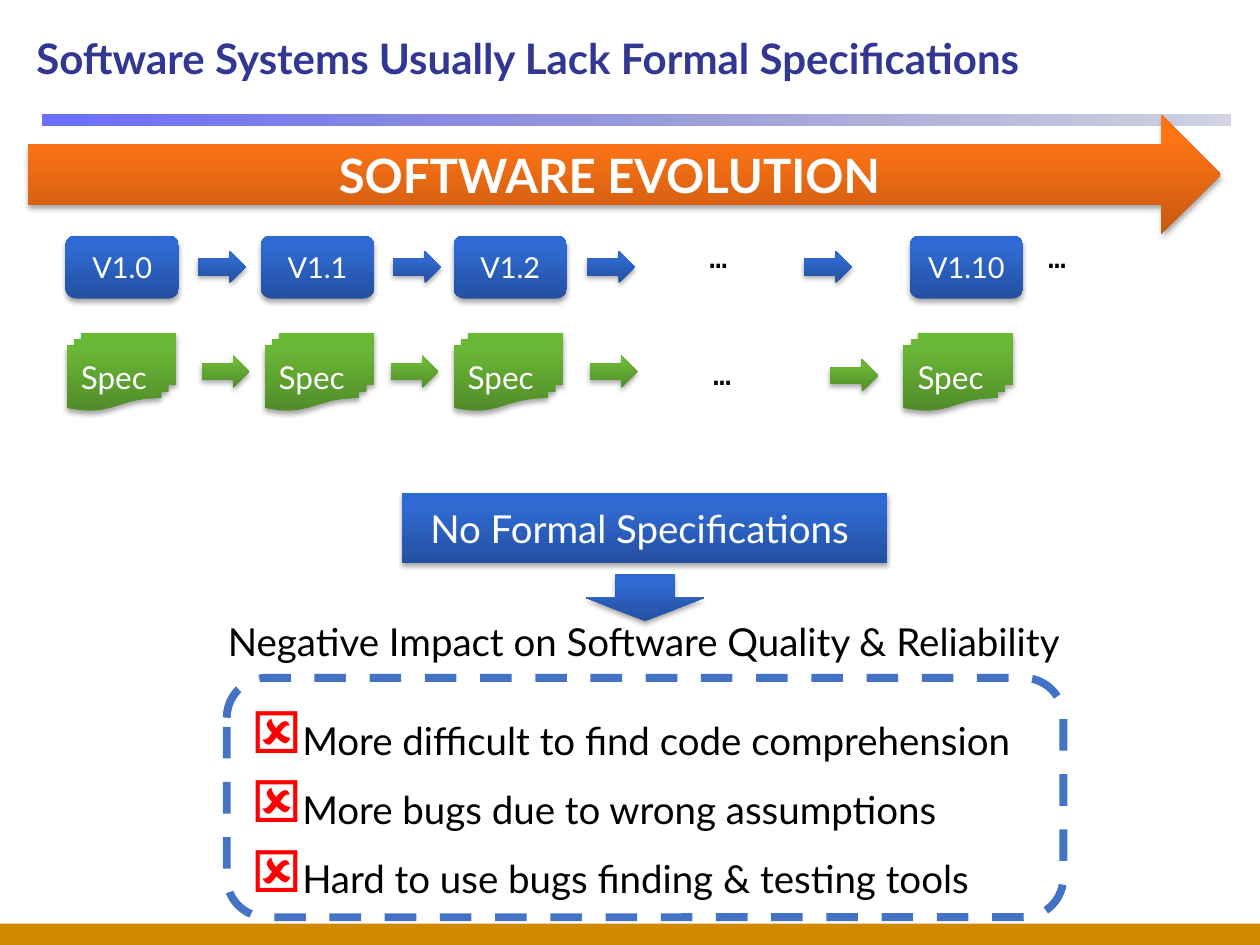
from lxml.etree import SubElement
from pptx import Presentation
from pptx.dml.color import RGBColor
from pptx.enum.dml import MSO_LINE
from pptx.enum.shapes import MSO_SHAPE
from pptx.enum.text import MSO_ANCHOR, MSO_AUTO_SIZE, PP_ALIGN
from pptx.oxml.ns import qn
from pptx.util import Inches, Pt

BLUE = [(0, "2451A1", 100), (80, "2F69D1", 100), (100, "2C69D5", 100)]
GREEN = [(0, "518D2A", 100), (80, "6AB636", 100), (100, "6ABA34", 100)]
ORANGE = [(0, "C65910", 100), (80, "FF7416", 100), (100, "FF7517", 100)]
FADE = [(0, "464AFC", 80), (100, "202275", 20)]


def color(value):
    return RGBColor.from_string(value)


def add_color(parent, value, alpha=100):
    element = SubElement(parent, qn("a:srgbClr"), val=value)
    if alpha < 100:
        SubElement(element, qn("a:alpha"), val=str(alpha * 1000))


def write_text(paragraph, text, size=22, fill="FFFFFF", font="Lato", bold=False, align=PP_ALIGN.CENTER):
    paragraph.alignment = align
    run = paragraph.add_run()
    run.text = text
    run.font.size = Pt(size)
    run.font.name = font
    run.font.bold = bold
    run.font.color.rgb = color(fill)


class SlideBuilder:
    """Draws styled elements on the current slide."""

    def __init__(self, slide):
        self.slide = slide

    def shape(self, kind, box, fill, text="", angle=90, shadow=True, **style):
        shape = self.slide.shapes.add_shape(kind, *map(Inches, box))
        shape.shadow.inherit = False
        shape.line.fill.background()
        if isinstance(fill, str):
            shape.fill.solid()
            shape.fill.fore_color.rgb = color(fill)
        else:
            self.gradient(shape, fill, angle)
        if shadow:
            self.shadow(shape)
        frame = shape.text_frame
        frame.vertical_anchor = MSO_ANCHOR.MIDDLE
        if text:
            frame.margin_left = frame.margin_right = 0
            write_text(frame.paragraphs[0], text, **style)
        return shape

    def gradient(self, shape, stops, angle):
        shape.fill.gradient()
        shape.fill.gradient_angle = angle
        stop_list = shape._element.spPr.find(qn("a:gradFill")).find(qn("a:gsLst"))
        for stop in list(stop_list):
            stop_list.remove(stop)
        for position, value, alpha in stops:
            stop = SubElement(stop_list, qn("a:gs"), pos=str(position * 1000))
            add_color(stop, value, alpha)

    def shadow(self, shape):
        effects = shape._element.spPr.find(qn("a:effectLst"))
        outer = SubElement(effects, qn("a:outerShdw"), blurRad=str(Pt(3.1)), dist=str(Pt(1.8)),
                           dir="5400000", rotWithShape="0")
        add_color(outer, "000000", 35)

    def text(self, box, text, anchor=MSO_ANCHOR.TOP, grow=True, **style):
        frame = self.slide.shapes.add_textbox(*map(Inches, box)).text_frame
        frame.word_wrap = not grow
        frame.auto_size = MSO_AUTO_SIZE.SHAPE_TO_FIT_TEXT if grow else MSO_AUTO_SIZE.NONE
        frame.vertical_anchor = anchor
        write_text(frame.paragraphs[0], text, **style)

    def ellipsis(self, left, top):
        self.text((left, top, 0.34, 0.38), "…", size=16.5, fill="000000", font="Courier New", bold=True)

    def arrows(self, positions, fill):
        for left, top in positions:
            self.shape(MSO_SHAPE.RIGHT_ARROW, (left, top, 0.38, 0.26), fill)

    def checklist(self, box, items):
        shape = self.shape(MSO_SHAPE.FLOWCHART_ALTERNATE_PROCESS, box, "FFFFFF", shadow=False)
        shape.line.color.rgb = color("4472C4")
        shape.line.width = Pt(4.5)
        shape.line.dash_style = MSO_LINE.DASH
        frame = shape.text_frame
        for index, item in enumerate(items):
            paragraph = frame.add_paragraph() if index else frame.paragraphs[0]
            properties = paragraph._p.get_or_add_pPr()
            properties.set("marL", str(Inches(0.28)))
            properties.set("indent", str(-Inches(0.28)))
            add_color(SubElement(properties, qn("a:buClr")), "FF0000")
            SubElement(properties, qn("a:buSzPct"), val="150000")
            SubElement(properties, qn("a:buChar"), char="☒")
            paragraph.line_spacing = 1.5
            write_text(paragraph, item, fill="000000", align=PP_ALIGN.LEFT)


def main():
    presentation = Presentation()
    presentation.slide_width = Inches(10)
    presentation.slide_height = Inches(7.5)
    builder = SlideBuilder(presentation.slides.add_slide(presentation.slide_layouts[6]))

    builder.shape(MSO_SHAPE.RECTANGLE, (0, 7.33, 10, 0.17), "D18A00", shadow=False)
    builder.shape(MSO_SHAPE.RECTANGLE, (0.34, 0.91, 9.43, 0.09), FADE, angle=0, shadow=False)
    builder.text((0.19, 0.15, 9.81, 0.62), "Software Systems Usually Lack Formal Specifications",
                 anchor=MSO_ANCHOR.MIDDLE, grow=False, size=24, fill="313793", bold=True,
                 align=PP_ALIGN.LEFT)
    builder.shape(MSO_SHAPE.RIGHT_ARROW, (0.22, 0.91, 9.47, 0.95), ORANGE, "SOFTWARE EVOLUTION",
                  size=27, bold=True)

    versions = {"V1.0": 0.52, "V1.1": 2.07, "V1.2": 3.6, "V1.10": 7.22}
    for version, left in versions.items():
        builder.shape(MSO_SHAPE.FLOWCHART_ALTERNATE_PROCESS, (left, 1.87, 0.9, 0.5), BLUE, version,
                      size=16.5)
    builder.arrows([(left, 1.99) for left in (1.57, 3.12, 4.66, 6.38)], BLUE)
    for left in (5.53, 8.22):
        builder.ellipsis(left, 1.85)

    for left in (0.53, 2.1, 3.6, 7.17):
        builder.shape(MSO_SHAPE.FLOWCHART_MULTIDOCUMENT, (left, 2.64, 0.87, 0.62), GREEN, "Spec", size=18)
    builder.arrows([(1.6, 2.82), (3.1, 2.82), (4.68, 2.82), (6.59, 2.85)], GREEN)
    builder.ellipsis(5.56, 2.78)

    builder.checklist((1.8, 5.38, 6.64, 1.9), [
        "More difficult to find code comprehension",
        "More bugs due to wrong assumptions",
        "Hard to use bugs finding & testing tools",
    ])
    builder.text((1.66, 4.86, 6.9, 0.47), "Negative Impact on Software Quality & Reliability",
                 fill="000000")
    builder.shape(MSO_SHAPE.RECTANGLE, (3.19, 3.91, 3.85, 0.56), BLUE, "No Formal Specifications ")
    builder.shape(MSO_SHAPE.DOWN_ARROW, (4.65, 4.56, 0.94, 0.37), BLUE)
    presentation.save("out.pptx")


if __name__ == "__main__":
    main()
